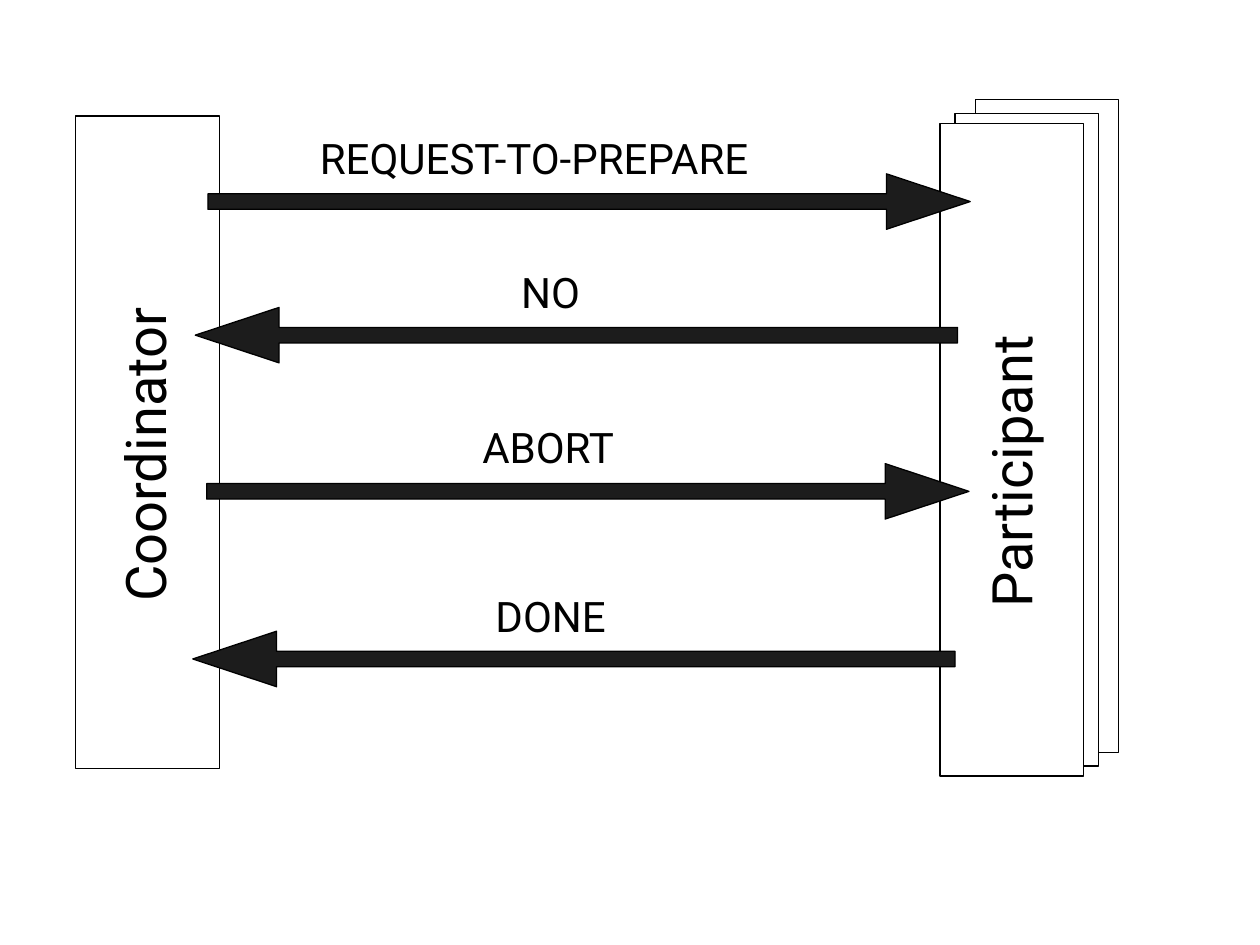
from pptx import Presentation
from pptx.dml.color import RGBColor
from pptx.enum.shapes import MSO_SHAPE as Preset
from pptx.enum.text import MSO_AUTO_SIZE as AutoSize, PP_ALIGN as Align
from pptx.util import Inches, Pt

BLACK, WHITE, CHARCOAL = "000000", "FFFFFF", "1C1C1C"
BAR_WIDTH, BAR_HEIGHT = 1.14, 5.18
ARROW_WIDTH, ARROW_HEIGHT = 6.05, 0.44
LABEL_WIDTH, LABEL_HEIGHT = 4.52, 0.5


def color(hex_string):
    return RGBColor.from_string(hex_string)


class ProtocolDiagram:
    font = "Roboto"
    line_width = Pt(0.75)

    def __init__(self, slide):
        self.slide = slide

    def outlined(self, preset, left, top, width, height, fill):
        shape = self.slide.shapes.add_shape(
            preset, Inches(left), Inches(top), Inches(width), Inches(height))
        shape.shadow.inherit = False
        shape.fill.solid()
        shape.fill.fore_color.rgb = color(fill)
        shape.line.color.rgb = color(BLACK)
        shape.line.width = self.line_width
        return shape

    def bar(self, left, top):
        self.outlined(Preset.RECTANGLE, left, top, BAR_WIDTH, BAR_HEIGHT, WHITE)

    def arrow(self, left, top, rotation):
        shape = self.outlined(Preset.RIGHT_ARROW, left, top,
                              ARROW_WIDTH, ARROW_HEIGHT, CHARCOAL)
        shape.adjustments[0] = 0.28
        shape.adjustments[1] = 1.51
        shape.rotation = rotation

    def text(self, words, left, top, width, height, size, align=Align.LEFT, wrap=True):
        box = self.slide.shapes.add_textbox(
            Inches(left), Inches(top), Inches(width), Inches(height))
        frame = box.text_frame
        frame.word_wrap = wrap
        frame.auto_size = AutoSize.SHAPE_TO_FIT_TEXT
        paragraph = frame.paragraphs[0]
        paragraph.alignment = align
        run = paragraph.add_run()
        run.text = words
        run.font.name = self.font
        run.font.size = Pt(size)
        run.font.color.rgb = color(BLACK)
        return box

    def role(self, name, left, top, width):
        """Name a bar with text that reads upwards."""
        box = self.text(name, left, top, width, 0.64, 32, wrap=False)
        box.rotation = 270

    def message(self, words, arrow_at, label_at, rotation=0, align=Align.CENTER):
        self.arrow(*arrow_at, rotation)
        self.text(words, *label_at, LABEL_WIDTH, LABEL_HEIGHT, 24, align)


def main():
    presentation = Presentation()
    presentation.slide_width = Inches(10)
    presentation.slide_height = Inches(7.5)
    slide = presentation.slides.add_slide(presentation.slide_layouts[6])
    diagram = ProtocolDiagram(slide)

    diagram.bar(0.6, 0.92)
    diagram.role("Coordinator", -0.22, 3.19, 2.73)

    for left, top in ((7.74, 0.79), (7.58, 0.9), (7.46, 0.98)):
        diagram.bar(left, top)
    diagram.role("Participant", 6.79, 3.37, 2.46)

    diagram.message("REQUEST-TO-PREPARE", (1.65, 1.38), (2.44, 1), align=Align.LEFT)
    diagram.message("NO", (1.55, 2.44), (2.11, 2.07), rotation=180)
    diagram.message("ABORT", (1.64, 3.68), (2.09, 3.3))
    diagram.message("DONE", (1.53, 5.01), (2.11, 4.64), rotation=180)

    presentation.save("out.pptx")


if __name__ == "__main__":
    main()
